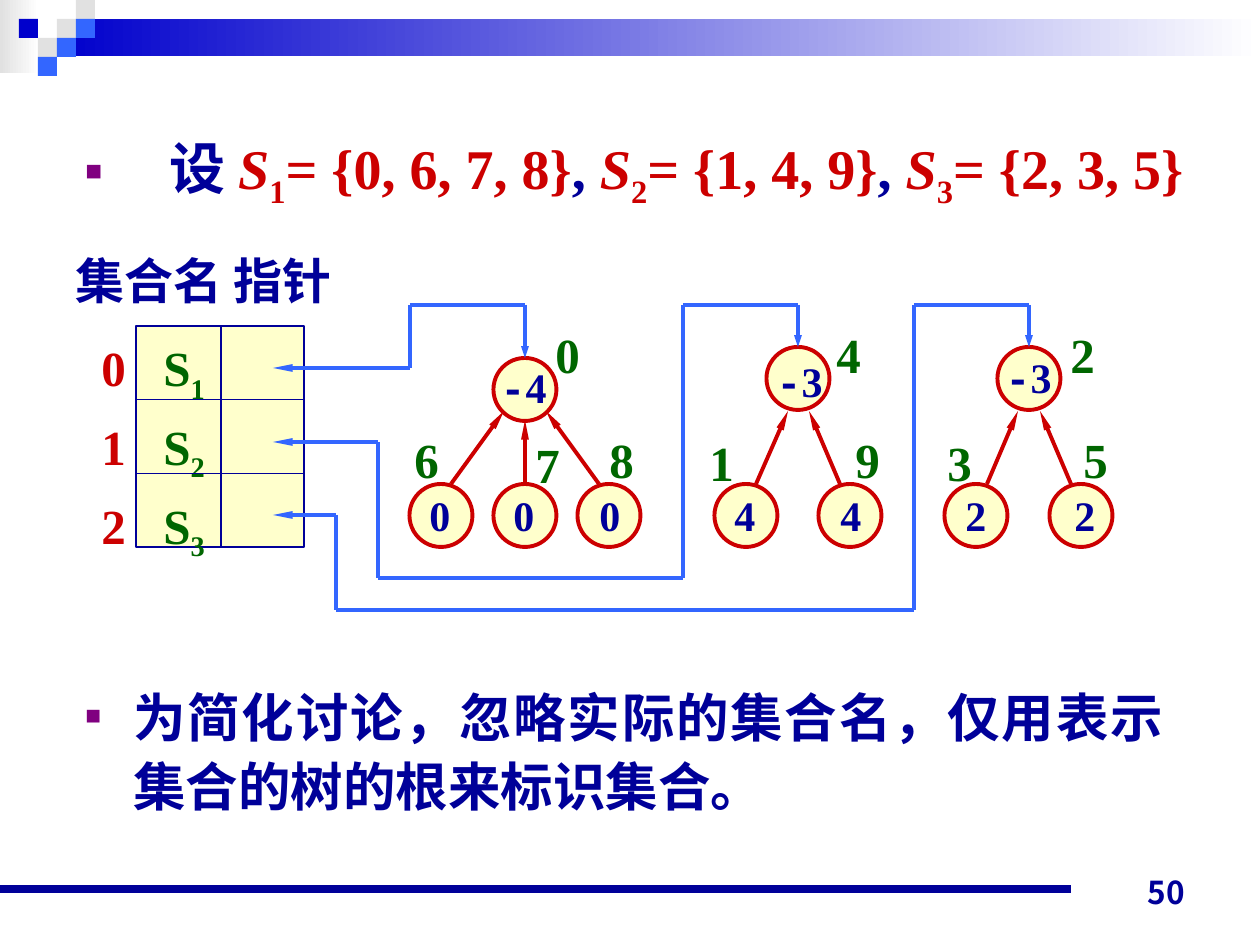
import pptx
import pptx.dml.color
import pptx.enum.shapes
import pptx.enum.text
import pptx.oxml
import pptx.oxml.ns
import pptx.util

EMU_PER_PX = 914400 / 126
COLORS = {
    "navy": "000099", "blue": "0000CC", "sky": "3366FF", "gray": "E1E1E1",
    "white": "FFFFFF", "cream": "FFFFCC", "red": "CC0000", "green": "006600",
    "purple": "800080",
}
SERIF, SANS, MONO = "Times New Roman", "Arial", "Courier New"
CJK = "Noto Sans CJK SC"
ALIGN = pptx.enum.text.PP_ALIGN
ANCHOR = pptx.enum.text.MSO_ANCHOR
SHAPE = pptx.enum.shapes.MSO_SHAPE
NODE = 63  # diameter of a tree node


def px(length):
    return pptx.util.Emu(round(length * EMU_PER_PX))


def rgb(color):
    return pptx.dml.color.RGBColor.from_string(COLORS[color])


def add_xml(parent, xml):
    ns = pptx.oxml.ns.nsdecls("a")
    parent.append(pptx.oxml.parse_xml(xml.replace("/>", f" {ns}/>", 1)
                                      if xml.endswith("/>") and xml.count("<") == 1
                                      else xml.replace(">", f" {ns}>", 1)))


def add_area(slide, box, fill, line=None, width=1.5, kind=SHAPE.RECTANGLE):
    """Filled shape; a pair of colours gives a left-to-right gradient."""
    area = slide.shapes.add_shape(kind, *map(px, box))
    area.shadow.inherit = False
    if isinstance(fill, tuple):
        area.fill.gradient()
        area.fill.gradient_angle = 0
        for stop, color in zip(area.fill.gradient_stops, fill):
            stop.color.rgb = rgb(color)
    else:
        area.fill.solid()
        area.fill.fore_color.rgb = rgb(fill)
    if line:
        area.line.color.rgb = rgb(line)
        area.line.width = pptx.util.Pt(width)
    else:
        area.line.fill.background()


def add_line(slide, start, end, color, width=2.25, arrow=None):
    """Straight line; arrow is the length of the head at its end."""
    line = slide.shapes.add_connector(
        pptx.enum.shapes.MSO_CONNECTOR.STRAIGHT, *map(px, (*start, *end)))
    line.line.color.rgb = rgb(color)
    line.line.width = pptx.util.Pt(width)
    if arrow:
        add_xml(line.line._get_or_add_ln(),
                f'<a:tailEnd type="triangle" w="sm" len="{arrow}"/>')
    add_xml(line._element.spPr, "<a:effectLst/>")


def add_text(slide, box, paragraphs, size=28, color="navy", font=SERIF, align=ALIGN.LEFT,
             anchor=ANCHOR.TOP, spacing=None, before=0, bullet_indent=None, tab=None):
    """Each paragraph is a list of (text, overrides) runs."""
    frame = slide.shapes.add_textbox(*map(px, box)).text_frame
    frame.word_wrap = True
    frame.vertical_anchor = anchor
    for index, runs in enumerate(paragraphs):
        paragraph = frame.add_paragraph() if index else frame.paragraphs[0]
        props = paragraph._p.get_or_add_pPr()
        if bullet_indent:
            props.set("marL", str(px(bullet_indent)))
            props.set("indent", str(-px(bullet_indent)))
            add_xml(props, f'<a:buClr><a:srgbClr val="{COLORS["purple"]}"/></a:buClr>')
            add_xml(props, '<a:buSzPct val="50000"/>')
            add_xml(props, f'<a:buFont typeface="{SANS}"/>')
            add_xml(props, '<a:buChar char="■"/>')
        if tab:
            add_xml(props, f'<a:tabLst><a:tab pos="{px(tab)}" algn="l"/></a:tabLst>')
        paragraph.alignment = align
        if spacing:
            paragraph.line_spacing = spacing
        if index and before:
            paragraph.space_before = pptx.util.Pt(before)
        for text, changes in runs:
            run = paragraph.add_run()
            run.text = text
            run.font.size = pptx.util.Pt(size)
            run.font.bold = True
            run.font.italic = changes.get("italic")
            run.font.name = changes.get("font", font)
            run.font.color.rgb = rgb(changes.get("color", color))
            add_xml(run._r.rPr, f'<a:ea typeface="{CJK}"/>')
            if changes.get("sub"):
                run._r.rPr.set("baseline", "-25000")


def add_banner(slide):
    add_area(slide, (0, 0, 39, 73), ("gray", "white"))
    add_area(slide, (57, 19, 1203, 37), ("blue", "white"))
    squares = [(3, 1, "gray"), (4, 0, "gray"), (4, 1, "sky"), (2, 2, "gray"),
               (1, 1, "blue"), (3, 2, "sky"), (2, 3, "sky")]
    for column, row, color in squares:
        add_area(slide, (19 * column, 19 * row, 19, 19), color)


def add_set_list(slide):
    """Table of set names and pointers."""
    left, top, width, height = 136, 326, 168, 221
    add_area(slide, (left, top, width, height), "cream", "navy")
    add_text(slide, (63, 244, 324, 72), [[("集合名 指针", {})]], font=CJK)
    rows = [[(f"{row}\t", {"color": "red"}), ("S", {}), (str(row + 1), {"sub": True})]
            for row in range(3)]
    add_text(slide, (89, 325, 131, 219), rows, color="green", spacing=1.1, before=3, tab=62)
    add_line(slide, (221, top), (221, top + height), "navy", 0.75)
    for row in (1, 2):
        y = top + row * height / 3
        add_line(slide, (left, y), (left + width, y), "navy", 0.75)


def add_node(slide, center, top, value, value_at, label, label_at):
    """Tree node with its parent value inside and its element beside it."""
    add_area(slide, (center - NODE / 2, top, NODE, NODE), "cream", "red", 2.25, SHAPE.OVAL)
    runs = [(value, {})]
    if value.startswith("-"):
        runs = [("-", {"font": MONO}), (value[1:], {})]
    add_text(slide, (*value_at, 77 if len(value) > 1 else 53, 63), [runs], size=24)
    add_text(slide, (*label_at, 58, 72), [[(label, {})]], color="green")


def add_pointer(slide, points):
    """Right-angled route with an arrowhead at both ends."""
    add_line(slide, points[1], points[0], "sky", arrow="lg")
    for start, end in zip(points[1:-2], points[2:-1]):
        add_line(slide, start, end, "sky")
    add_line(slide, points[-2], points[-1], "sky", arrow="med")


def main():
    deck = pptx.Presentation()
    deck.slide_width, deck.slide_height = px(1260), px(945)
    slide = deck.slides.add_slide(deck.slide_layouts[6])

    # Banner and footer
    add_banner(slide)
    add_line(slide, (0, 889), (1071, 889), "navy", 4.5)
    add_text(slide, (903, 854, 294, 63), [[("50", {})]], size=18,
             font="Noto Sans CJK JP", align=ALIGN.RIGHT, anchor=ANCHOR.BOTTOM)

    # Definition of the sets
    definition = [("设 ", {})]
    for number, members in enumerate(("0, 6, 7, 8", "1, 4, 9", "2, 3, 5"), 1):
        if number > 1:
            definition.append((", ", {}))
        definition += [("S", {"color": "red", "italic": True}),
                       (str(number), {"color": "red", "sub": True}),
                       (f"= {{{members}}}", {"color": "red"})]
    add_text(slide, (73, 123, 1142, 108), [definition], size=32, spacing=1.05,
             bullet_indent=84)

    # Conclusion
    conclusion = "为简化讨论，忽略实际的集合名，仅用表示集合的树的根来标识集合。"
    add_text(slide, (73, 672, 1103, 168), [[(conclusion, {})]], size=30, font=SANS,
             align=ALIGN.JUSTIFY, spacing=1.1, bullet_indent=48)

    add_set_list(slide)

    # Trees: centre, top, value and its place, element and its place
    leaf_top, value_top = 484, 483
    nodes = [
        (525, 358, "-4", (488, 355), "0", (543, 318)),
        (441, leaf_top, "0", (417, value_top), "6", (402, 423)),
        (525, leaf_top, "0", (501, value_top), "7", (523, 428)),
        (609, leaf_top, "0", (587, value_top), "8", (597, 423)),
        (798, 347, "-3", (764, 349), "4", (824, 318)),
        (746, leaf_top, "4", (722, value_top), "1", (697, 426)),
        (850, leaf_top, "4", (828, value_top), "9", (843, 423)),
        (1029, 347, "-3", (993, 345), "2", (1058, 318)),
        (976, leaf_top, "2", (953, value_top), "3", (935, 426)),
        (1081, leaf_top, "2", (1062, value_top), "5", (1071, 423)),
    ]
    for node in nodes:
        add_node(slide, *node)

    # Child-to-parent arrows
    add_line(slide, (525, leaf_top), (525, 420), "red", arrow="lg")
    for child, parent in ((451, 504), (599, 546), (756, 788), (840, 809),
                          (987, 1018), (1071, 1040)):
        add_line(slide, (child, leaf_top), (parent, 411), "red", arrow="lg")

    # Links between the pointers and the roots
    add_pointer(slide, [(273, 368), (410, 368), (410, 305), (525, 305), (525, 358)])
    add_pointer(slide, [(273, 442), (378, 442), (378, 578), (683, 578), (683, 305),
                        (798, 305), (798, 347)])
    add_pointer(slide, [(273, 515), (336, 515), (336, 610), (914, 610), (914, 305),
                        (1029, 305), (1029, 347)])

    deck.save("out.pptx")


if __name__ == "__main__":
    main()
